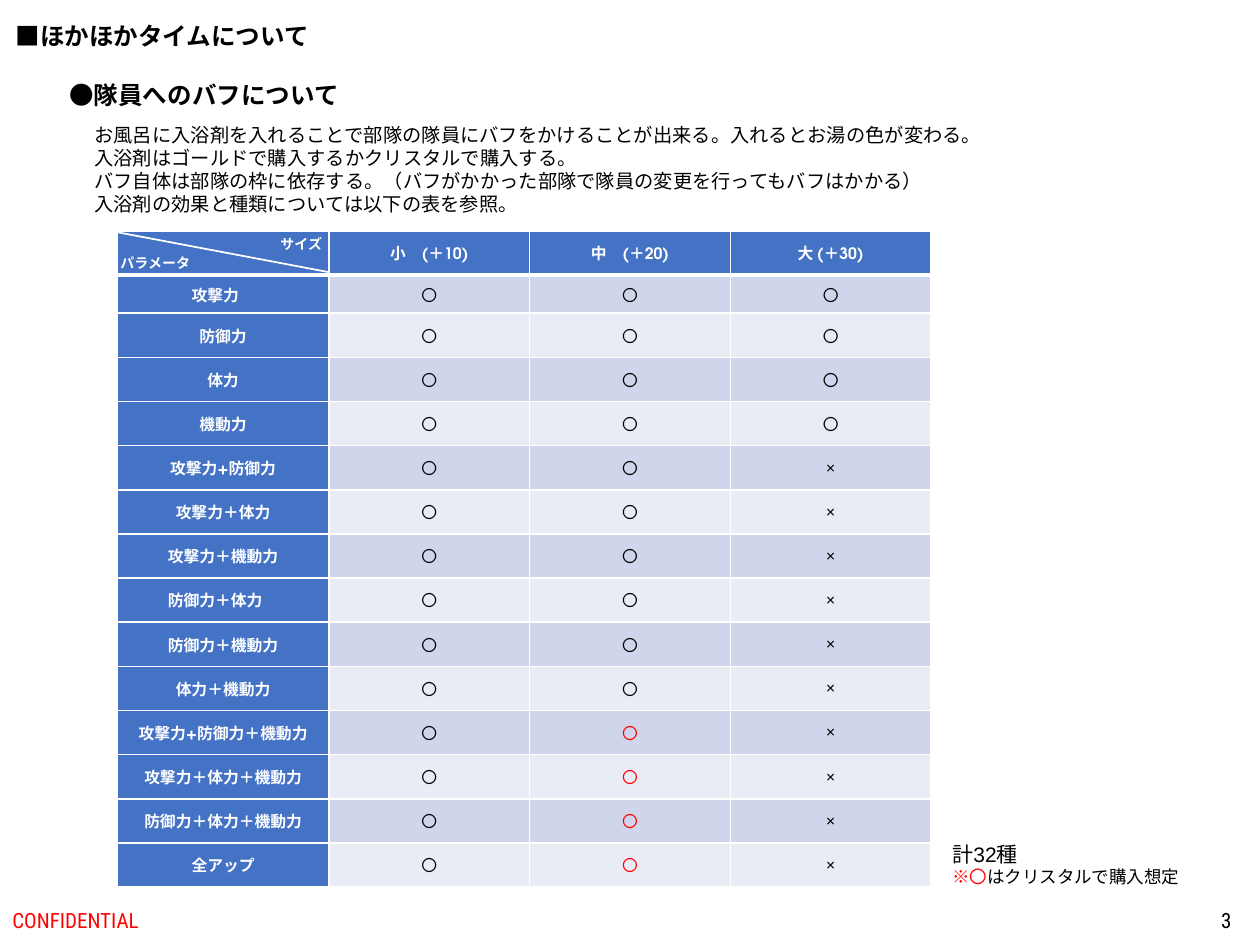
from lxml.etree import SubElement
from pptx import Presentation
from pptx.dml.color import RGBColor
from pptx.enum.lang import MSO_LANGUAGE_ID
from pptx.enum.shapes import MSO_CONNECTOR
from pptx.enum.text import MSO_ANCHOR, MSO_AUTO_SIZE, PP_ALIGN
from pptx.oxml.ns import qn
from pptx.util import Emu, Pt

COLORS = {"text": "000000", "white": "FFFFFF", "red": "FF0000",
          "head": "4472C4", "odd": "CFD5EA", "even": "E9EBF5"}
BODY, TABLE, FOOTER = "Arial", "TeX Gyre Adventor", "Roboto Condensed"

INTRO = [
    "お風呂に入浴剤を入れることで部隊の隊員にバフをかけることが出来る。入れるとお湯の色が変わる。",
    "入浴剤はゴールドで購入するかクリスタルで購入する。",
    "バフ自体は部隊の枠に依存する。（バフがかかった部隊で隊員の変更を行ってもバフはかかる）",
    "入浴剤の効果と種類については以下の表を参照。",
]
SIZES = ["", "小　(＋10)", "中　(＋20)", "大 (＋30)"]
PARAMETERS = [
    "攻撃力　", "防御力", "体力", "機動力",
    "攻撃力+防御力", "攻撃力＋体力", "攻撃力＋機動力",
    "防御力＋体力　", "防御力＋機動力", "体力＋機動力",
    "攻撃力+防御力＋機動力", "攻撃力＋体力＋機動力",
    "防御力＋体力＋機動力", "全アップ",
]
SINGLE_COUNT = 4    # single parameters also come in the large size
CRYSTAL_FROM = 11   # from this row the medium size costs crystals


def px(n):
    return Emu(round(n * 914400 / 126))


def rgb(name):
    return RGBColor.from_string(COLORS[name])


def add_text(p, text, size=9, font=BODY, color="text", bold=False, align=PP_ALIGN.LEFT):
    """Append a formatted run to a paragraph."""
    p.alignment = align
    r = p.add_run()
    r.text = text
    f = r.font
    f.size, f.name, f.bold = Pt(size), font, bold
    f.color.rgb = rgb(color)
    f.language_id = MSO_LANGUAGE_ID.JAPANESE


def fit_frame(sp):
    """Let a shape grow with its unwrapped text."""
    tf = sp.text_frame
    tf.word_wrap = False
    tf.auto_size = MSO_AUTO_SIZE.SHAPE_TO_FIT_TEXT
    tf.vertical_anchor = MSO_ANCHOR.TOP
    return tf


def add_box(s, x, y, w, h, lines, **fmt):
    sp = s.shapes.add_textbox(px(x), px(y), px(w), px(h))
    tf = fit_frame(sp)
    for i, line in enumerate(lines):
        p = tf.add_paragraph() if i else tf.paragraphs[0]
        add_text(p, line, **fmt)
    return tf


def add_title(s, text):
    sp = s.shapes.title
    sp.left, sp.top, sp.width, sp.height = px(3), px(15), px(323), px(43)
    add_text(fit_frame(sp).paragraphs[0], text, size=14, bold=True)


def add_footer(s, x, w, text, **fmt):
    tf = add_box(s, x, 895, w, 50, [text], size=12, font=FOOTER, **fmt)
    tf.auto_size = MSO_AUTO_SIZE.NONE
    tf.word_wrap = True
    tf.vertical_anchor = MSO_ANCHOR.MIDDLE


def set_borders(cell, bottom):
    tcPr = cell._tc.get_or_add_tcPr()
    for i, (side, width) in enumerate([("L", 1), ("R", 1), ("T", 1), ("B", bottom)]):
        ln = tcPr.makeelement(qn(f"a:ln{side}"), {"w": str(Pt(width))})
        fill = SubElement(ln, qn("a:solidFill"))
        SubElement(fill, qn("a:srgbClr"), val=COLORS["white"])
        tcPr.insert(i, ln)


def fill_cell(cell, text, fill, bottom=1, **fmt):
    cell.fill.solid()
    cell.fill.fore_color.rgb = rgb(fill)
    cell.vertical_anchor = MSO_ANCHOR.MIDDLE
    p = cell.text_frame.paragraphs[0]
    if text:
        add_text(p, text, font=TABLE, align=PP_ALIGN.CENTER, **fmt)
    else:
        p._p.get_or_add_endParaRPr().set("sz", "900")
    set_borders(cell, bottom)


def add_buff_table(s):
    n = len(PARAMETERS)
    tbl = s.shapes.add_table(n + 1, len(SIZES), px(117), px(231), px(814), px(656)).table
    for c, col in enumerate(tbl.columns):
        col.width = Emu(px(602) // 3) if c else px(212)
    for i, row in enumerate(tbl.rows):
        row.height = Emu(px(574) // (n - 1))
    tbl.rows[1].height = px(38)

    for c, size in enumerate(SIZES):
        fill_cell(tbl.cell(0, c), size, "head", bottom=3, color="white", bold=True)
    for i, name in enumerate(PARAMETERS, 1):
        fill_cell(tbl.cell(i, 0), name, "head", color="white", bold=True)
        for c in range(1, len(SIZES)):
            mark = "×" if c == 3 and i > SINGLE_COUNT else "〇"
            color = "red" if c == 2 and i >= CRYSTAL_FROM else "text"
            fill_cell(tbl.cell(i, c), mark, "odd" if i % 2 else "even", color=color)


def add_line(s, x1, y1, x2, y2):
    cn = s.shapes.add_connector(MSO_CONNECTOR.STRAIGHT, px(x1), px(y1), px(x2), px(y2))
    cn.line.color.rgb = rgb("white")
    cn.line.width = Pt(1)
    SubElement(cn._element.spPr, qn("a:effectLst"))


def main():
    prs = Presentation()
    prs.slide_width, prs.slide_height = px(1260), px(945)
    s = prs.slides.add_slide(prs.slide_layouts[5])

    # Headings and introduction
    add_title(s, "■ほかほかタイムについて")
    add_box(s, 57, 74, 297, 43, ["●隊員へのバフについて"], size=14, bold=True)
    add_box(s, 82, 117, 920, 106, INTRO, size=11)

    # Buff table with its split corner cell
    add_buff_table(s)
    add_box(s, 268, 229, 68, 30, ["サイズ"], size=8, color="white", bold=True)
    add_box(s, 108, 248, 96, 30, ["パラメータ"], size=8, color="white", bold=True)
    add_line(s, 116, 232, 328, 272)

    # Total and note on crystals
    tf = add_box(s, 940, 835, 256, 59, ["計32種"], size=12)
    p = tf.add_paragraph()
    add_text(p, "※〇", size=10, color="red")
    add_text(p, "はクリスタルで購入想定", size=10)

    # Footer
    add_footer(s, 0, 426, "CONFIDENTIAL", color="red")
    add_footer(s, 960, 284, "3", align=PP_ALIGN.RIGHT)

    prs.save("out.pptx")


if __name__ == "__main__":
    main()
